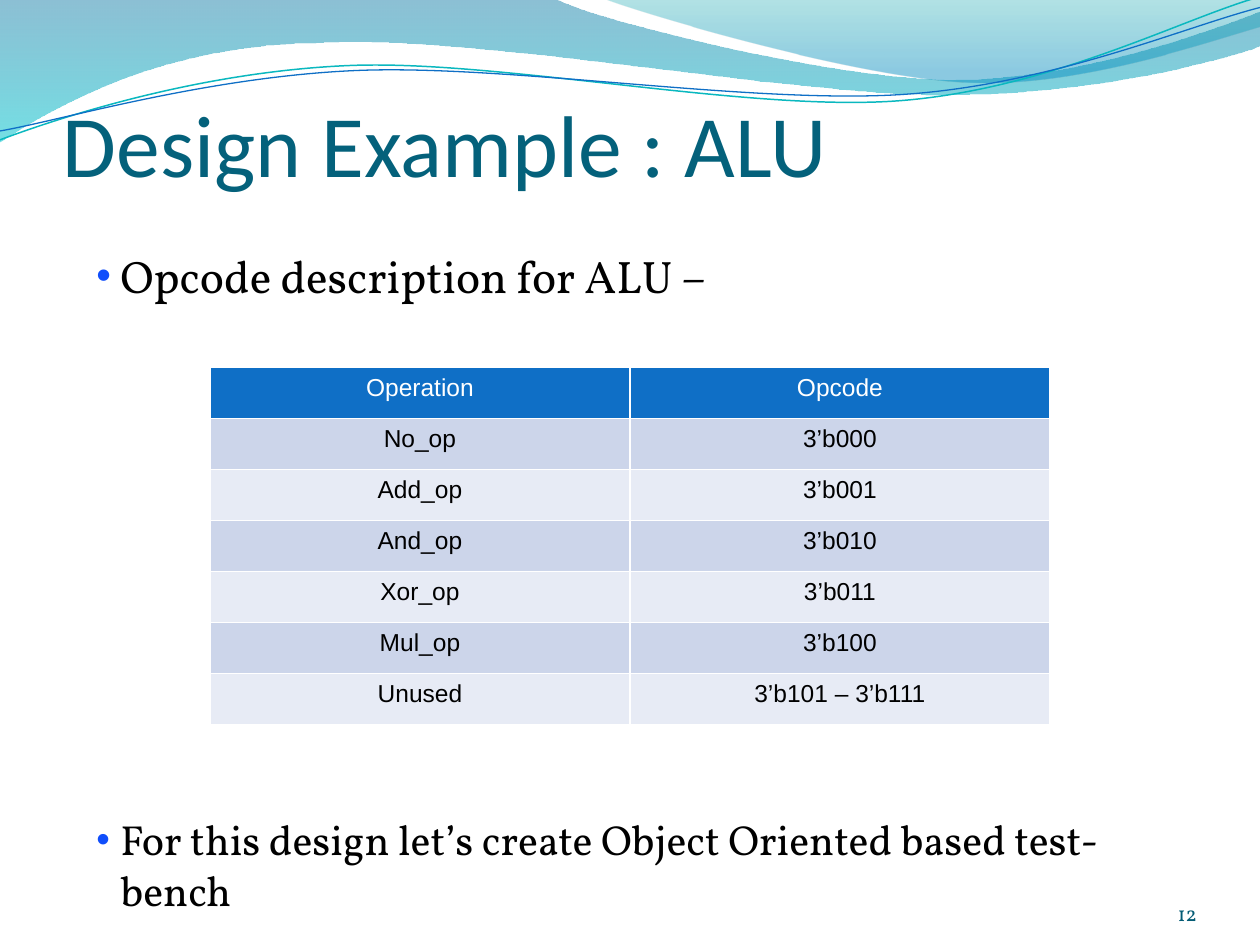
from dataclasses import dataclass
from math import cos, radians, sin
from typing import NamedTuple

from lxml.etree import SubElement
from pptx import Presentation
from pptx.dml.color import RGBColor
from pptx.enum.text import MSO_ANCHOR as Anchor, PP_ALIGN as Align
from pptx.oxml.ns import qn
from pptx.util import Emu, Inches, Pt

COLUMNS, ROWS = 60, 45
CELL = Inches(10) / COLUMNS
COLORS = {
    "title": "04617B", "number": "045C75", "text": "000000", "bullet": "104EFB",
    "header": "0F6FC6", "band_dark": "CCD5EA", "band_light": "E7EBF5", "white": "FFFFFF",
    "teal_line": "0AB8BF", "blue_line": "0F6FC6",
    "deep_blue": "0074A1", "cyan": "00C6CF", "sea": "00A1A9", "sky": "008BBF",
}


class Area(NamedTuple):
    column: float
    row: float
    columns: float
    rows: float

    def lengths(self) -> list[Emu]:
        return [Emu(round(value * CELL)) for value in self]


class Stop(NamedTuple):
    position: float
    color: str
    opacity: int


class Stroke(NamedTuple):
    color: str
    width: float


@dataclass(frozen=True)
class Wave:
    start: tuple[float, float]
    segments: list[tuple[float, ...]]
    stops: tuple[Stop, ...] = ()
    stroke: Stroke | None = None
    center: tuple[float, float] = (0, 0)
    rotation: float = 0


@dataclass(frozen=True)
class Style:
    font: str
    size: float
    color: str


WAVES = [
    Wave((0, -0.01), [
        (4.4, -0.01),
        (4.76, 0.17, 6.64, 0.63, 7.58, 0.63),
        (8.53, 0.63, 9.58, 0.26, 10, 0.09),
        (10.01, 0.36),
        (9.83, 0.44, 8.7, 0.76, 7.46, 0.75),
        (6.22, 0.75, 3.82, 0.28, 2.57, 0.34),
        (1.29, 0.35, 0.46, 0.83, -0.01, 1.13),
        (0, -0.01),
    ], stops=(Stop(0, "deep_blue", 45), Stop(1, "cyan", 55))),
    Wave((4.79, -0.01), [
        (5.09, 0.11, 6.82, 0.62, 7.69, 0.65),
        (8.56, 0.69, 9.61, 0.32, 10, 0.21),
        (10, 0),
        (4.79, -0.01),
    ], stops=(Stop(0, "sea", 30), Stop(0.8, "sky", 45))),
    Wave((0, 1.11), [
        (0.48, 0.93, 1.58, 0.57, 2.77, 0.52),
        (3.95, 0.47, 5.93, 0.89, 7.13, 0.8),
        (8.33, 0.71, 9.38, 0.15, 9.98, -0.02),
    ], stroke=Stroke("teal_line", 0.85), center=(4.99, 0.58), rotation=-2.7),
    Wave((0, 1.04), [
        (0.47, 0.96, 1.64, 0.61, 2.83, 0.56),
        (4.03, 0.51, 5.97, 0.83, 7.17, 0.75),
        (8.36, 0.67, 9.41, 0.21, 10, 0.06),
    ], stroke=Stroke("blue_line", 0.75), center=(5, 0.59), rotation=-2.7),
]
OPCODES = [
    ("Operation", "Opcode"),
    ("No_op", "3’b000"),
    ("Add_op", "3’b001"),
    ("And_op", "3’b010"),
    ("Xor_op", "3’b011"),
    ("Mul_op", "3’b100"),
    ("Unused", "3’b101 – 3’b111"),
]


def rgb(name: str) -> RGBColor:
    return RGBColor.from_string(COLORS[name])


def level_points(wave: Wave) -> list[tuple[int, int]]:
    points = [wave.start]
    for segment in wave.segments:
        points.extend(zip(segment[::2], segment[1::2]))
    angle = radians(-wave.rotation)
    center_x, center_y = wave.center
    return [
        (Inches(center_x + (x - center_x) * cos(angle) - (y - center_y) * sin(angle)),
         Inches(center_y + (x - center_x) * sin(angle) + (y - center_y) * cos(angle)))
        for x, y in points
    ]


def bend_segments(shape, segments: list[tuple[float, ...]]) -> None:
    lines = iter(list(shape.element.iter(qn("a:lnTo"))))
    for segment in segments:
        first = next(lines)
        if len(segment) == 2:
            continue
        first.tag = qn("a:cubicBezTo")
        for line in (next(lines), next(lines)):
            first.append(line[0])
            line.getparent().remove(line)


def draw_wave(slide, wave: Wave) -> None:
    start, *rest = level_points(wave)
    builder = slide.shapes.build_freeform(*start)
    builder.add_line_segments(rest, close=False)
    shape = builder.convert_to_shape()
    bend_segments(shape, wave.segments)
    shape.rotation = wave.rotation
    shape.shadow.inherit = False
    if wave.stroke:
        shape.fill.background()
        shape.line.color.rgb = rgb(wave.stroke.color)
        shape.line.width = Pt(wave.stroke.width)
        return
    SubElement(next(shape.element.iter(qn("a:path"))), qn("a:close"))
    shape.line.fill.background()
    shape.fill.gradient()
    shape.fill.gradient_angle = 270
    for gradient_stop, stop in zip(shape.fill.gradient_stops, wave.stops):
        gradient_stop.position = stop.position
        gradient_stop.color.rgb = rgb(stop.color)
    for color, stop in zip(shape.element.spPr.iter(qn("a:srgbClr")), wave.stops):
        SubElement(color, qn("a:alpha"), val=str(stop.opacity * 1000))


def add_run(paragraph, text: str, style: Style) -> None:
    run = paragraph.add_run()
    run.text = text
    run.font.name = style.font
    run.font.size = Pt(style.size)
    run.font.color.rgb = rgb(style.color)


def add_text_frame(slide, area: Area, anchor: Anchor = Anchor.TOP):
    frame = slide.shapes.add_textbox(*area.lengths()).text_frame
    frame.word_wrap = True
    frame.vertical_anchor = anchor
    return frame


def draw_label(slide, area: Area, text: str, style: Style, align: Align) -> None:
    frame = add_text_frame(slide, area, Anchor.BOTTOM)
    frame.margin_left = frame.margin_right = frame.margin_top = frame.margin_bottom = 0
    frame.paragraphs[0].alignment = align
    add_run(frame.paragraphs[0], text, style)


def add_bullet(paragraph, text: str, style: Style, space_before: float) -> None:
    paragraph.space_before = Pt(space_before)
    properties = paragraph._p.get_or_add_pPr()
    properties.set("marL", str(Inches(0.19)))
    properties.set("indent", str(Inches(-0.19)))
    SubElement(SubElement(properties, qn("a:buClr")), qn("a:srgbClr"), val=COLORS["bullet"])
    SubElement(properties, qn("a:buSzPct"), val="92000")
    SubElement(properties, qn("a:buFont"), typeface="Arial")
    SubElement(properties, qn("a:buChar"), char="•")
    add_run(paragraph, text, style)


def add_borders(cell) -> None:
    properties = cell._tc.get_or_add_tcPr()
    for index, side in enumerate(("lnL", "lnR", "lnT", "lnB")):
        line = SubElement(properties, qn(f"a:{side}"), w=str(Pt(1)))
        fill = SubElement(line, qn("a:solidFill"))
        SubElement(fill, qn("a:srgbClr"), val=COLORS["white"])
        properties.insert(index, line)


def draw_table(slide, area: Area, rows: list[tuple[str, ...]]) -> None:
    table = slide.shapes.add_table(len(rows), len(rows[0]), *area.lengths()).table
    for row_index, row in enumerate(rows):
        is_header = row_index == 0
        band = "header" if is_header else "band_dark" if row_index % 2 else "band_light"
        style = Style("Arial", 14, "white" if is_header else "text")
        for column_index, text in enumerate(row):
            cell = table.cell(row_index, column_index)
            cell.fill.solid()
            cell.fill.fore_color.rgb = rgb(band)
            add_borders(cell)
            paragraph = cell.text_frame.paragraphs[0]
            paragraph.alignment = Align.CENTER
            add_run(paragraph, text, style)


def main() -> None:
    presentation = Presentation()
    presentation.slide_width, presentation.slide_height = Area(0, 0, COLUMNS, ROWS).lengths()[2:]
    slide = presentation.slides.add_slide(presentation.slide_layouts[6])
    for wave in WAVES:
        draw_wave(slide, wave)
    draw_label(slide, Area(52, 41.7, 5, 2.4), "12", Style("Vollkorn", 12, "number"), Align.RIGHT)
    draw_label(slide, Area(3, 1.8, 54, 7.5), "Design Example : ALU",
               Style("Calibri", 50, "title"), Align.LEFT)
    draw_table(slide, Area(10, 17.5, 40, 17), OPCODES)
    body = add_text_frame(slide, Area(4, 11.5, 53, 32.5))
    add_bullet(body.paragraphs[0], "Opcode description for ALU –",
               Style("Vollkorn", 26, "text"), 9.2)
    add_bullet(body.add_paragraph(), "For this design let’s create Object Oriented based test-bench",
               Style("Vollkorn", 24, "text"), 292.4)
    presentation.save("out.pptx")


main()
